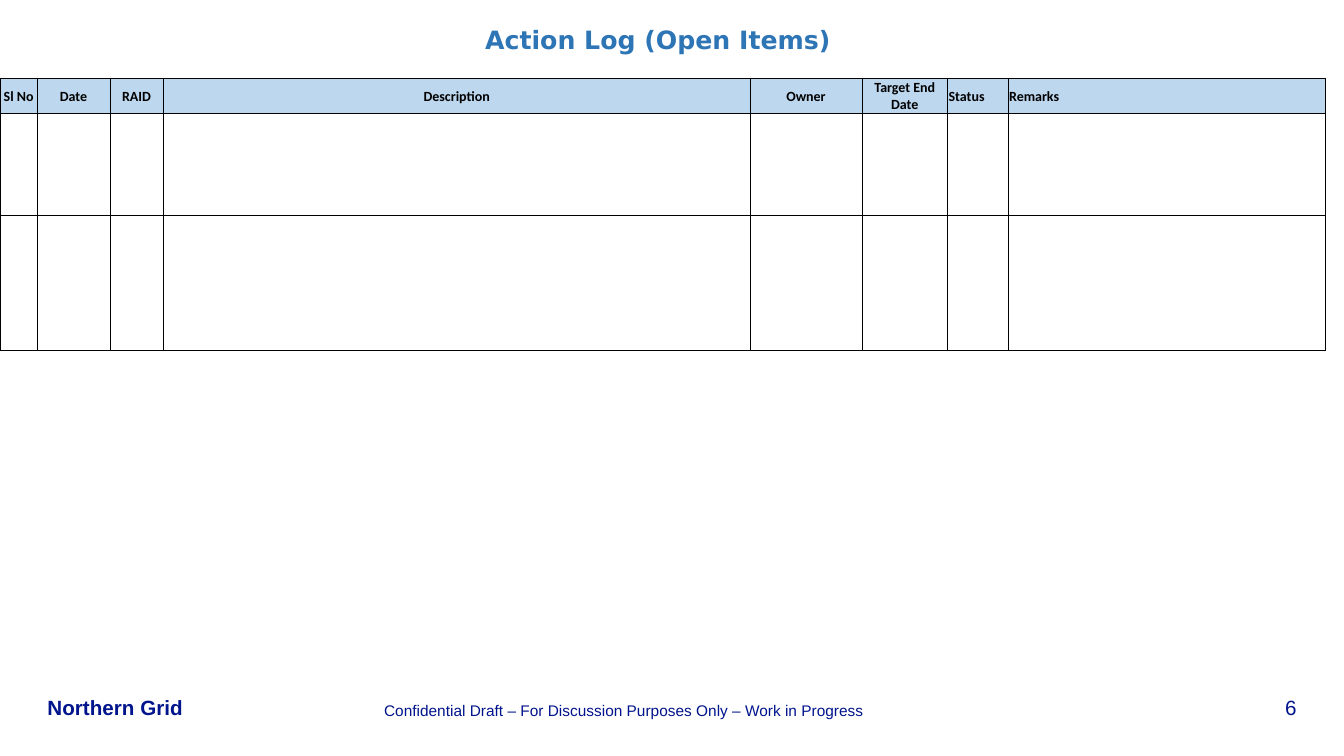
from lxml import etree
from pptx import Presentation
from pptx.dml.color import RGBColor
from pptx.enum.text import MSO_ANCHOR, PP_ALIGN
from pptx.oxml.ns import qn
from pptx.util import Inches, Pt

LEFT, CENTER, RIGHT = PP_ALIGN.LEFT, PP_ALIGN.CENTER, PP_ALIGN.RIGHT
TOP, MIDDLE, BOTTOM = MSO_ANCHOR.TOP, MSO_ANCHOR.MIDDLE, MSO_ANCHOR.BOTTOM

COLORS = {"navy": "00148C", "title": "2E75B6", "header": "BDD7EE", "black": "000000"}
COLUMNS = [
    ("Sl No", 0.37, CENTER),
    ("Date", 0.72, CENTER),
    ("RAID", 0.53, CENTER),
    ("Description", 5.82, CENTER),
    ("Owner", 1.11, CENTER),
    ("Target End Date", 0.85, CENTER),
    ("Status", 0.6, LEFT),
    ("Remarks", 3.15, LEFT),
]
ROW_HEIGHTS = [0.31, 1.01, 1.34]


class ActionLogPage:
    """Holds the style and the current slide, and draws its elements."""

    def __init__(self, deck):
        self.page = deck.slides.add_slide(deck.slide_layouts[6])

    def style(self, para, font, size, color, bold, align):
        para.alignment = align
        para.font.name = font
        para.font.size = Pt(size)
        para.font.bold = bold
        para.font.color.rgb = RGBColor.from_string(COLORS[color])

    def text(self, words, place, size, color="navy", font="Arial", bold=False,
             align=LEFT, anchor=BOTTOM):
        box = self.page.shapes.add_textbox(*[Inches(length) for length in place])
        frame = box.text_frame
        frame.word_wrap = True
        frame.vertical_anchor = anchor
        frame.margin_left = frame.margin_right = 0
        frame.margin_top = frame.margin_bottom = 0
        para = frame.paragraphs[0]
        para.text = words
        self.style(para, font, size, color, bold, align)

    def border(self, cell, side, width):
        properties = cell._tc.get_or_add_tcPr()
        line = etree.SubElement(properties, qn(f"a:ln{side}"), w=str(Pt(width)))
        fill = etree.SubElement(line, qn("a:solidFill"))
        etree.SubElement(fill, qn("a:srgbClr"), val=COLORS["black"])

    def table(self, left, top, columns, heights):
        widths = [width for _, width, _ in columns]
        frame = self.page.shapes.add_table(
            len(heights), len(columns), Inches(left), Inches(top),
            Inches(sum(widths)), Inches(sum(heights)))
        table = frame.table
        table.first_row = table.horz_banding = False
        for row, height in zip(table.rows, heights):
            row.height = Inches(height)
        last = len(columns) - 1
        for index, (label, width, align) in enumerate(columns):
            table.columns[index].width = Inches(width)
            for row in range(len(heights)):
                cell = table.cell(row, index)
                self.border(cell, "L", 1 if index == 0 else 0.5)
                self.border(cell, "R", 1 if index == last else 0.5)
                self.border(cell, "T", 1 if row == 0 else 0.5)
                self.border(cell, "B", 0.5)
                cell.fill.background()
            self.header(table.cell(0, index), label, align)

    def header(self, cell, label, align):
        cell.fill.solid()
        cell.fill.fore_color.rgb = RGBColor.from_string(COLORS["header"])
        cell.vertical_anchor = MIDDLE
        cell.margin_left = cell.margin_right = cell.margin_top = Inches(0.01)
        cell.margin_bottom = 0
        para = cell.text_frame.paragraphs[0]
        para.text = label
        self.style(para, "Calibri", 10, "black", True, align)


def main():
    deck = Presentation()
    deck.slide_width, deck.slide_height = Inches(13.33), Inches(7.5)
    log = ActionLogPage(deck)
    log.text("6", (12.08, 6.89, 0.78, 0.25), 14.7, align=RIGHT)
    log.text("Northern Grid", (0.47, 6.89, 1.4, 0.25), 14.7, bold=True)
    log.text("Action Log (Open Items)", (0.33, 0.24, 12.39, 0.63), 18, "title",
             "DejaVu Sans", True, CENTER, TOP)
    log.text("Confidential Draft – For Discussion Purposes Only – Work in Progress",
             (3.81, 6.95, 7.3, 0.19), 11)
    log.table(0, 0.78, COLUMNS, ROW_HEIGHTS)
    deck.save("out.pptx")


if __name__ == "__main__":
    main()
